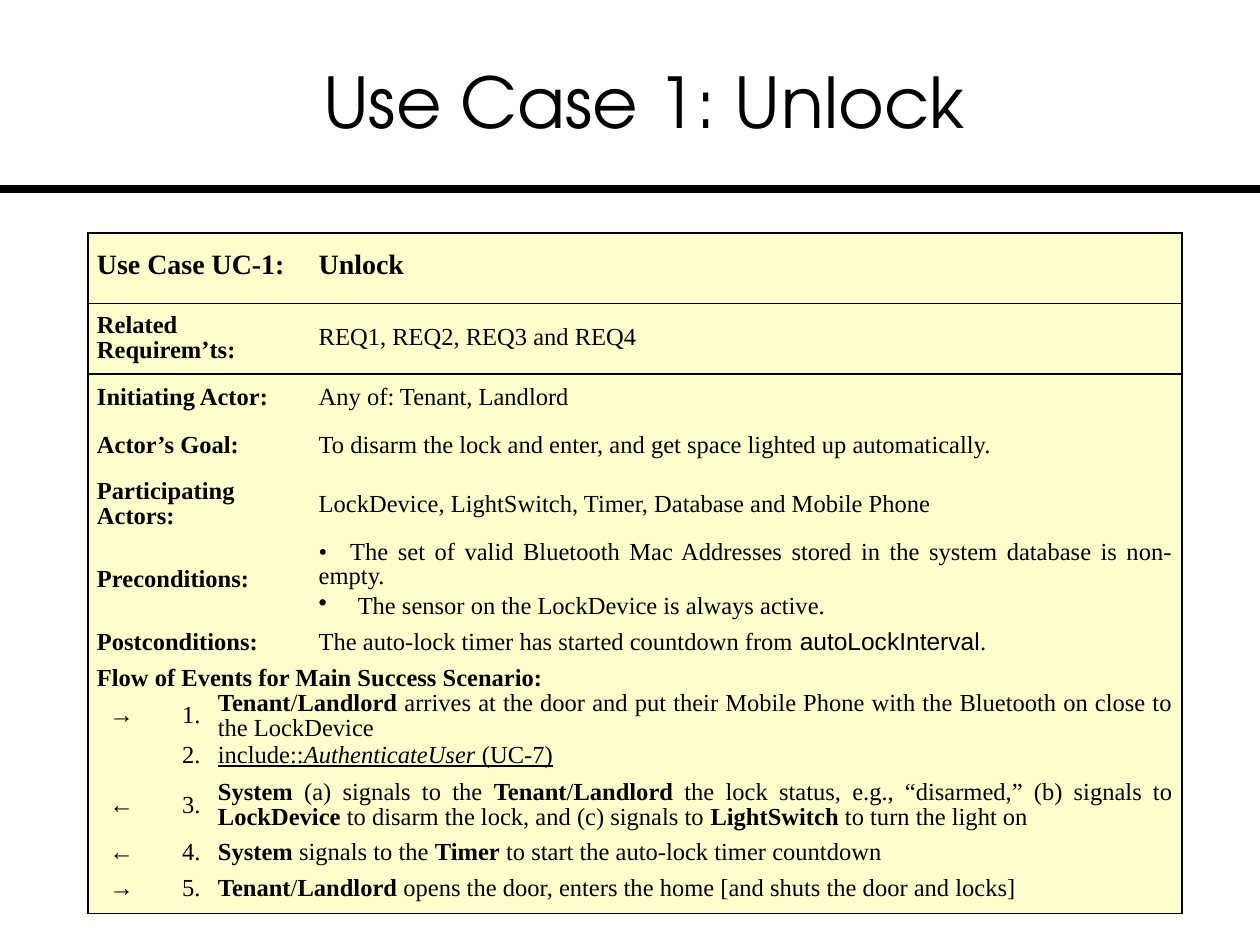
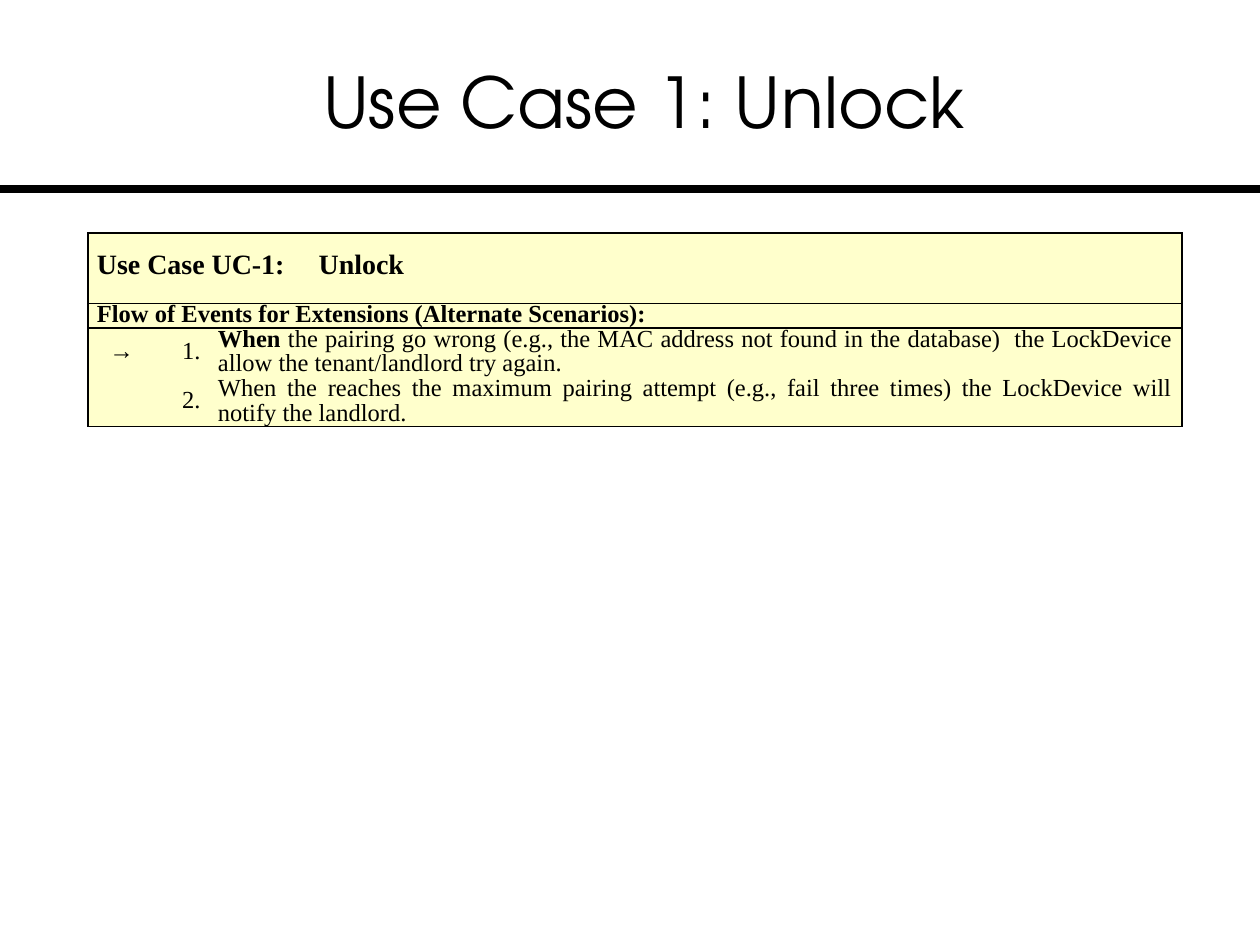
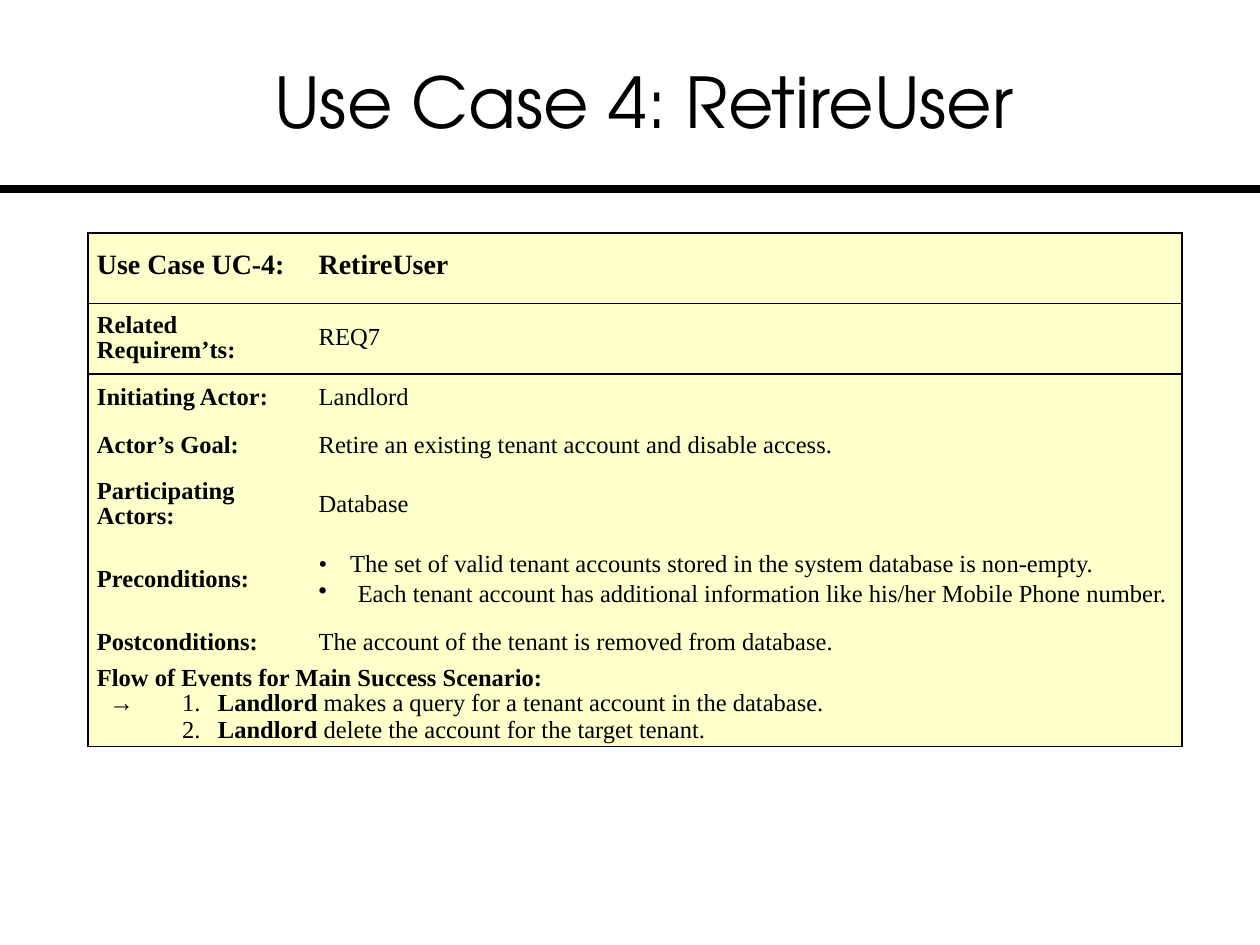
from dataclasses import dataclass
from typing import Optional

from lxml.etree import SubElement
from pptx import Presentation
from pptx.dml.color import RGBColor
from pptx.enum.shapes import MSO_CONNECTOR
from pptx.enum.text import MSO_ANCHOR, PP_ALIGN
from pptx.oxml.ns import qn
from pptx.slide import Slide
from pptx.table import Table, _Cell
from pptx.text.text import _Paragraph
from pptx.util import Inches, Pt

BLACK = RGBColor(0x00, 0x00, 0x00)
CREAM = RGBColor(0xFF, 0xFF, 0xCC)
TITLE_FONT = "TeX Gyre Adventor"
BODY_FONT = "Times New Roman"
CODE_FONT = "Arial"
PLAIN_TABLE_STYLE = "{2D5ABB26-0587-4C30-8999-92F81FD0307C}"

SLIDE_WIDTH = 10
TABLE_LEFT, TABLE_TOP = 0.7, 1.85
COLUMN_WIDTHS = (0.53, 0.43, 0.8, 6.92)
LAST_COLUMN = len(COLUMN_WIDTHS) - 1
CELL_MARGIN = 0.07
HEADER_HEIGHT = 0.56
LINE_HEIGHT = 0.19
LINE_SPACING = 14
FIELDS = {
    "Related Requirem’ts:": 0.56,
    "Initiating Actor:": 0.38,
    "Actor’s Goal:": 0.38,
    "Participating Actors:": 0.56,
    "Preconditions:": 0.63,
    "Postconditions:": 0.38,
}
MAIN_FLOW = "Flow of Events for Main Success Scenario:"
IN, OUT = "→", "←"


@dataclass(frozen=True)
class Words:
    text: str
    bold: bool = False
    italic: bool = False
    underline: bool = False
    font: Optional[str] = None


@dataclass(frozen=True)
class Line:
    words: tuple[Words, ...]
    align: PP_ALIGN = PP_ALIGN.JUSTIFY
    size: int = 14
    space_before: int = 0
    bulleted: bool = False
    tab: Optional[float] = None


@dataclass(frozen=True)
class Step:
    arrow: str
    words: tuple[Words, ...]
    height: float = LINE_HEIGHT


@dataclass(frozen=True)
class UseCase:
    number: int
    name: str
    values: tuple[tuple[Line, ...], ...]
    flow: str
    steps: tuple[Step, ...]


def bold(text: str) -> Words:
    return Words(text, bold=True)


def value(*words: Words) -> tuple[Line, ...]:
    return (Line(words, space_before=3),)


def preconditions(first: str, second: str) -> tuple[Line, ...]:
    return (
        Line((Words("•\t" + first),), space_before=3, tab=0.25),
        Line((Words(second),), space_before=3, bulleted=True),
    )


def style_indent(paragraph: _Paragraph, line: Line) -> None:
    properties = paragraph._p.get_or_add_pPr()
    if line.bulleted:
        properties.set("marL", str(Inches(0.31)))
        properties.set("indent", str(-Inches(0.31)))
        SubElement(properties, qn("a:buChar"), char="•")
    if line.tab:
        tabs = SubElement(properties, qn("a:tabLst"))
        SubElement(tabs, qn("a:tab"), pos=str(Inches(line.tab)), algn="l")


def write_line(paragraph: _Paragraph, line: Line) -> None:
    style_indent(paragraph, line)
    paragraph.alignment = line.align
    paragraph.line_spacing = Pt(LINE_SPACING)
    paragraph.space_before = Pt(line.space_before)
    paragraph.font.name = BODY_FONT
    paragraph.font.size = Pt(line.size)
    paragraph.font.color.rgb = BLACK
    for words in line.words:
        run = paragraph.add_run()
        run.text = words.text
        run.font.bold = words.bold
        run.font.italic = words.italic
        run.font.underline = words.underline
        if words.font:
            run.font.name = words.font


def write_cell(table: Table, row: int, first: int, last: int, *lines: Line) -> None:
    cell = table.cell(row, first)
    if last > first:
        cell.merge(table.cell(row, last))
    cell.vertical_anchor = MSO_ANCHOR.MIDDLE
    for index, line in enumerate(lines):
        frame = cell.text_frame
        write_line(frame.add_paragraph() if index else frame.paragraphs[0], line)


def add_borders(cell: _Cell, sides: str) -> None:
    properties = cell._tc.get_or_add_tcPr()
    for side in sides:
        border = SubElement(properties, qn(f"a:ln{side}"), w=str(Pt(1)))
        fill = SubElement(border, qn("a:solidFill"))
        SubElement(fill, qn("a:srgbClr"), val=str(BLACK))


def style_cells(table: Table, row_count: int) -> None:
    for row in range(row_count):
        for column in range(len(COLUMN_WIDTHS)):
            cell = table.cell(row, column)
            cell.margin_left = cell.margin_right = Inches(CELL_MARGIN)
            cell.margin_top = cell.margin_bottom = 0
            sides = "L" if column == 0 else "R" if column == LAST_COLUMN else ""
            if cell.is_merge_origin and column + cell.span_width > LAST_COLUMN:
                sides += "R"
            sides += "T" if row < 2 else ""
            sides += "B" if row in (0, row_count - 1) else ""
            add_borders(cell, sides)
            cell.fill.solid()
            cell.fill.fore_color.rgb = CREAM


def add_use_case_table(slide: Slide, case: UseCase) -> None:
    fields = list(zip(FIELDS.items(), case.values))
    heights = [HEADER_HEIGHT, *(height for (_, height), _ in fields), LINE_HEIGHT,
               *(step.height for step in case.steps)]
    table = slide.shapes.add_table(
        len(heights), len(COLUMN_WIDTHS), Inches(TABLE_LEFT), Inches(TABLE_TOP),
        Inches(sum(COLUMN_WIDTHS)), Inches(sum(heights))).table
    table.first_row = table.horz_banding = False
    table._tbl.tblPr.find(qn("a:tableStyleId")).text = PLAIN_TABLE_STYLE
    for column, width in zip(table.columns, COLUMN_WIDTHS):
        column.width = Inches(width)
    for row, height in zip(table.rows, heights):
        row.height = Inches(height)

    for first, last, text in ((0, 2, f"Use Case UC-{case.number}:"), (3, 3, case.name)):
        write_cell(table, 0, first, last, Line((bold(text),), PP_ALIGN.LEFT, 16, 6))
    for row, ((label, _), lines) in enumerate(fields, start=1):
        write_cell(table, row, 0, 2, *value(bold(label)))
        write_cell(table, row, 3, 3, *lines)
    flow_row = len(fields) + 1
    write_cell(table, flow_row, 0, 3, Line((bold(case.flow),), space_before=4))
    for number, step in enumerate(case.steps, start=1):
        row = flow_row + number
        arrow = (Words(step.arrow),) if step.arrow else ()
        write_cell(table, row, 0, 0, Line(arrow, PP_ALIGN.CENTER))
        write_cell(table, row, 1, 1, Line((Words(f"{number}."),), PP_ALIGN.RIGHT))
        write_cell(table, row, 2, 3, Line(step.words))
    style_cells(table, len(heights))


def add_heading(slide: Slide, text: str) -> None:
    rule = slide.shapes.add_connector(
        MSO_CONNECTOR.STRAIGHT, 0, Inches(1.5), Inches(SLIDE_WIDTH), Inches(1.5))
    rule.line.color.rgb = BLACK
    rule.line.width = Pt(4.5)
    SubElement(rule._element.spPr, qn("a:effectLst"))

    frame = slide.shapes.add_textbox(
        Inches(0.42), Inches(0.17), Inches(9.38), Inches(1.25)).text_frame
    frame.word_wrap = True
    frame.vertical_anchor = MSO_ANCHOR.MIDDLE
    frame.margin_left = frame.margin_right = 0
    paragraph = frame.paragraphs[0]
    paragraph.text = text
    paragraph.alignment = PP_ALIGN.CENTER
    paragraph.font.name = TITLE_FONT
    paragraph.font.size = Pt(40)
    paragraph.font.color.rgb = BLACK


TENANT_OR_LANDLORD = (bold("Tenant"), Words("/"), bold("Landlord"))

USE_CASES = (
    UseCase(
        1, "Unlock",
        (
            value(Words("REQ1, REQ2, REQ3 and REQ4")),
            value(Words("Any of: Tenant, Landlord")),
            value(Words("To disarm the lock and enter, and get space lighted up automatically.")),
            value(Words("LockDevice, LightSwitch, Timer, Database and Mobile Phone")),
            preconditions(
                "The set of valid Bluetooth Mac Addresses stored in the system database "
                "is non-empty.",
                "The sensor on the LockDevice is always active."),
            value(Words("The auto-lock timer has started countdown from "),
                  Words("autoLockInterval", font=CODE_FONT), Words(".")),
        ),
        MAIN_FLOW,
        (
            Step(IN, (*TENANT_OR_LANDLORD, Words(
                " arrives at the door and put their Mobile Phone with the Bluetooth on "
                "close to the LockDevice"))),
            Step("", (Words("include::", underline=True),
                      Words("AuthenticateUser", italic=True, underline=True),
                      Words(" (UC-7)", underline=True))),
            Step(OUT, (bold("System"), Words(" (a) signals to the "), *TENANT_OR_LANDLORD,
                       Words(" the lock status, e.g., “disarmed,” (b) signals to "),
                       bold("LockDevice"),
                       Words(" to disarm the lock, and (c) signals to "),
                       bold("LightSwitch"), Words(" to turn the light on")), 0.56),
            Step(OUT, (bold("System"), Words(" signals to the "), bold("Timer"),
                       Words(" to start the auto-lock timer countdown"))),
            Step(IN, (*TENANT_OR_LANDLORD, Words(
                " opens the door, enters the home [and shuts the door and locks]")), 0.38),
        ),
    ),
    UseCase(
        1, "Unlock", (), "Flow of Events for Extensions (Alternate Scenarios):",
        (
            Step(IN, (bold("When "), Words(
                "the pairing go wrong (e.g., the MAC address not found in the database)  "
                "the LockDevice allow the tenant/landlord try again."))),
            Step("", (Words(
                "When the reaches the maximum pairing attempt (e.g., fail three times) "
                "the LockDevice will notify the landlord."),)),
        ),
    ),
    UseCase(
        4, "RetireUser",
        (
            value(Words("REQ7")),
            value(Words("Landlord")),
            value(Words("Retire an existing tenant account and disable access.")),
            value(Words("Database")),
            preconditions(
                "The set of valid tenant accounts stored in the system database is non-empty.",
                "Each tenant account has additional information like his/her Mobile Phone "
                "number."),
            value(Words("The account of the tenant is removed from database.")),
        ),
        MAIN_FLOW,
        (
            Step(IN, (bold("Landlord "),
                      Words("makes a query for a tenant account in the database."))),
            Step("", (bold("Landlord "), Words("delete the account for the target tenant."))),
        ),
    ),
)

presentation = Presentation()
presentation.slide_width = Inches(SLIDE_WIDTH)
presentation.slide_height = Inches(7.5)
for use_case in USE_CASES:
    new_slide = presentation.slides.add_slide(presentation.slide_layouts[6])
    add_heading(new_slide, f"Use Case {use_case.number}: {use_case.name}")
    add_use_case_table(new_slide, use_case)
presentation.save("out.pptx")
